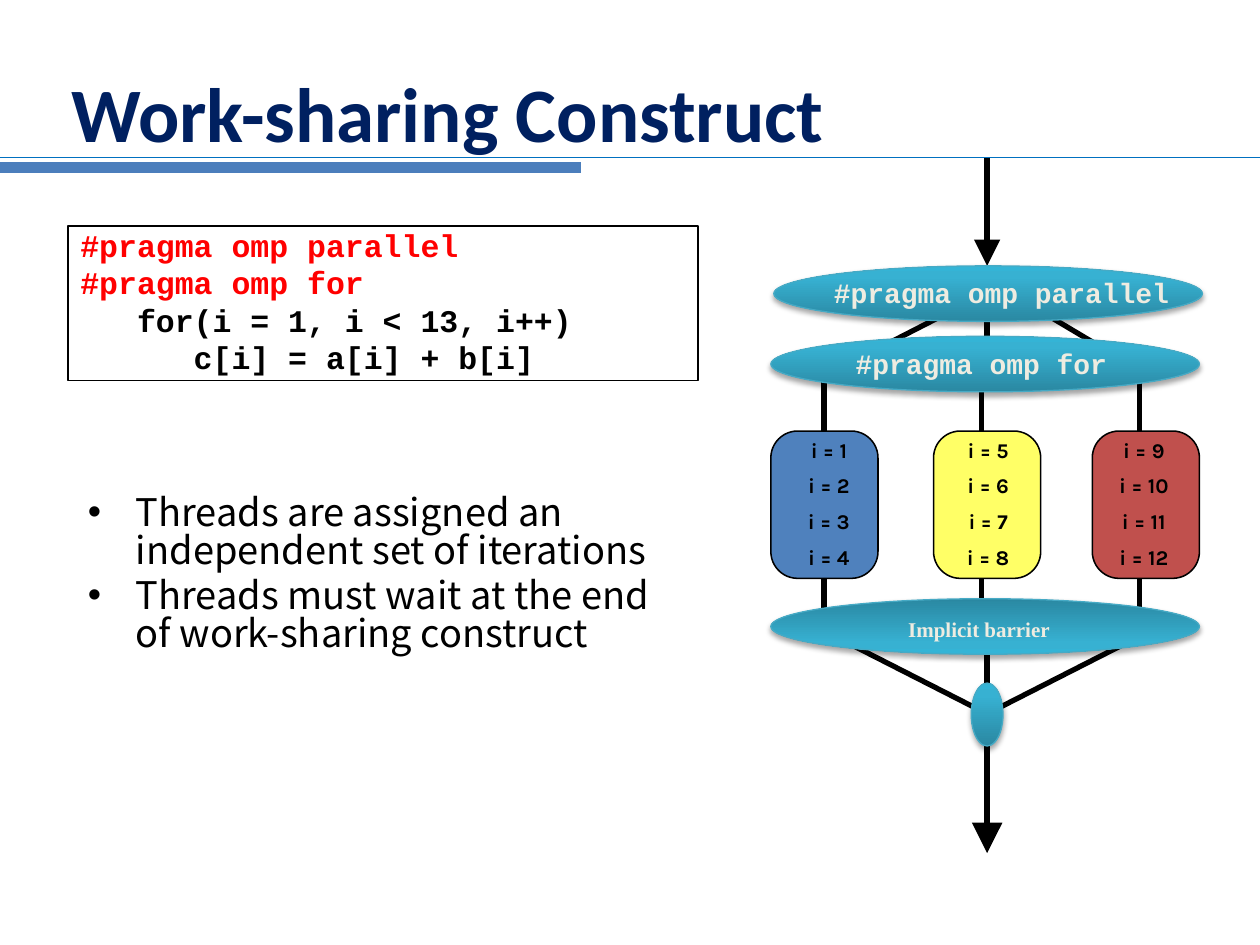
from copy import deepcopy

from pptx import Presentation
from pptx.dml.color import RGBColor
from pptx.enum.shapes import MSO_CONNECTOR, MSO_SHAPE
from pptx.enum.text import MSO_ANCHOR, PP_ALIGN
from pptx.oxml import parse_xml
from pptx.oxml.ns import nsdecls, qn
from pptx.util import Cm, Pt

BLACK, WHITE, RED, CREAM = "000000", "FFFFFF", "FF0000", "EEECE1"
CODE_FONT = "Courier New"
DIRECTIVE = dict(font=CODE_FONT, size=16, color=CREAM, bold=True)
CONSTRUCT_STOPS = [(0, "2A88A2"), (0.8, "37B1D2"), (1, "34B4D6")]


def rgb(value):
    return RGBColor.from_string(value)


def write(frame, lines, font="Calibri", size=12, color=BLACK, bold=False,
          align=PP_ALIGN.LEFT, before=0, spacing=None, bullet_indent=None):
    """Fill a text frame; a line is a string or a (string, colour) pair."""
    for index, line in enumerate(lines):
        words, shade = line if isinstance(line, tuple) else (line, color)
        paragraph = frame.paragraphs[0] if index == 0 else frame.add_paragraph()
        paragraph.alignment = align
        if index and before:
            paragraph.space_before = Pt(before)
        if spacing:
            paragraph.line_spacing = spacing
        if bullet_indent:
            properties = paragraph._p.get_or_add_pPr()
            properties.set("marL", str(Cm(bullet_indent)))
            properties.set("indent", str(-Cm(bullet_indent)))
            properties.append(parse_xml(f'<a:buFont {nsdecls("a")} typeface="Arial"/>'))
            properties.append(parse_xml(f'<a:buChar {nsdecls("a")} char="•"/>'))
        run = paragraph.add_run()
        run.text = words
        run.font.name = font
        run.font.size = Pt(size)
        run.font.bold = bold
        run.font.color.rgb = rgb(shade)


class Diagram:
    """Holds the current slide and draws on it, with lengths in centimetres."""

    line_width = 3
    outline_width = 0.88

    def __init__(self, slide):
        self.slide = slide

    def line(self, start, end, color=BLACK, width=None, arrow=False):
        connector = self.slide.shapes.add_connector(
            MSO_CONNECTOR.STRAIGHT, *map(Cm, start + end))
        connector.line.color.rgb = rgb(color)
        connector.line.width = Pt(width or self.line_width)
        if arrow:
            connector.line._get_or_add_ln().append(parse_xml(
                f'<a:tailEnd {nsdecls("a")} type="triangle" w="lg" len="lg"/>'))
        connector._element.spPr.append(parse_xml(f'<a:effectLst {nsdecls("a")}/>'))

    def box(self, kind, place, fill, width=None):
        shape = self.slide.shapes.add_shape(kind, *map(Cm, place))
        shape.shadow.inherit = False
        shape.fill.solid()
        shape.fill.fore_color.rgb = rgb(fill)
        shape.line.color.rgb = rgb(BLACK)
        shape.line.width = Pt(width or self.outline_width)
        return shape

    def construct(self, place, angle=90):
        """Draw a shaded ellipse with a soft shadow below it."""
        ellipse = self.box(MSO_SHAPE.OVAL, place, WHITE, 0.75)
        ellipse.line.color.rgb = rgb("46AAC5")
        ellipse.fill.gradient()
        stop_list = ellipse._element.spPr.find(qn("a:gradFill")).find(qn("a:gsLst"))
        stop_list.append(deepcopy(stop_list[-1]))
        for stop, (position, color) in zip(ellipse.fill.gradient_stops, CONSTRUCT_STOPS):
            stop.position = position
            stop.color.rgb = rgb(color)
        ellipse.fill.gradient_angle = angle
        ellipse._element.spPr.find(qn("a:effectLst")).append(parse_xml(
            f'<a:outerShdw {nsdecls("a")} blurRad="{Pt(3.1)}" dist="{Pt(1.8)}" '
            'dir="5400000" rotWithShape="0"><a:srgbClr val="000000">'
            '<a:alpha val="35000"/></a:srgbClr></a:outerShdw>'))

    def text(self, place, lines, wrap=True, inset=True,
             anchor=MSO_ANCHOR.TOP, **style):
        frame = self.slide.shapes.add_textbox(*map(Cm, place)).text_frame
        frame.word_wrap = wrap
        frame.vertical_anchor = anchor
        if not inset:
            frame.margin_left = frame.margin_right = 0
            frame.margin_top = frame.margin_bottom = 0
        write(frame, lines, **style)

    def code(self, place, lines, **style):
        frame = self.box(MSO_SHAPE.RECTANGLE, place, WHITE, 1).text_frame
        frame.word_wrap = True
        frame.vertical_anchor = MSO_ANCHOR.TOP
        write(frame, lines, font=CODE_FONT, bold=True, **style)


def draw_heading(diagram):
    diagram.line((0, 3.18), (25.4, 3.18), "0070C0", 0.75)
    diagram.line((0, 3.38), (11.71, 3.38), "4B7EBC", 6)
    diagram.text((1.19, 1.57, 24.08, 1.35), ["Work-sharing Construct"],
                 anchor=MSO_ANCHOR.MIDDLE, size=44, color="002060", bold=True)


def draw_explanation(diagram):
    diagram.code((1.37, 4.55, 12.7, 3.12), [
        ("#pragma omp parallel", RED),
        ("#pragma omp for", RED),
        "   for(i = 1, i < 13, i++)",
        "      c[i] = a[i] + b[i]",
    ], size=18, spacing=0.85, before=3)
    diagram.text((1.52, 9.88, 12.67, 4.42), [
        "Threads are assigned an independent set of iterations",
        "Threads must wait at the end of work-sharing construct",
    ], font="Noto Sans CJK JP", size=21.7, before=4.3, spacing=0.83,
        bullet_indent=0.97)


def draw_flow(diagram):
    axis, spread = 19.9, 3.24
    for column in range(3):
        thread_x = 16.61 + column * 3.18
        diagram.line((thread_x, 7.62), (thread_x, 8.89))
        diagram.line((thread_x, 11.05), (thread_x, 12.32))
    for side, fork_y in ((-1, 5.9), (0, 5.9), (1, 5.63)):
        branch_x = axis + side * spread
        diagram.line((axis, fork_y), (branch_x, 7.56))
        diagram.line((branch_x, 12.74), (axis, 14.39))

    threads = [(15.54, 15.54, "4F81BD"), (18.82, 18.75, "FFFF66"),
               (22.02, 21.89, "C0504D")]
    for column, (left, label_left, color) in enumerate(threads):
        thread = diagram.box(MSO_SHAPE.ROUNDED_RECTANGLE, (left, 8.69, 2.16, 2.97), color)
        thread.adjustments[0] = 0.25
        first = 1 + 4 * column
        diagram.text((label_left, 8.69, 2.34, 3.05),
                     [f"i = {i}" for i in range(first, first + 4)],
                     font="Karla", bold=True, align=PP_ALIGN.CENTER, before=6)

    diagram.line((axis, 3.18), (axis, 5.36), arrow=True)
    diagram.line((axis, 14.94), (axis, 17.2), width=3.5, arrow=True)
    diagram.construct((15.6, 5.36, 8.64, 1.12))
    diagram.construct((15.54, 6.78, 8.64, 1.12))
    diagram.construct((15.54, 12.07, 8.64, 1.12), angle=270)
    diagram.construct((19.58, 13.77, 0.64, 1.27))

    diagram.text((16.81, 5.56, 6.78, 0.69), ["#pragma omp parallel"],
                 wrap=False, inset=False, **DIRECTIVE)
    diagram.text((17.25, 6.99, 5.11, 0.69), ["#pragma omp for"],
                 wrap=False, inset=False, **DIRECTIVE)
    diagram.text((18.31, 12.42, 2.95, 0.51), ["Implicit barrier"], wrap=False,
                 inset=False, font="Times New Roman", color=CREAM, bold=True)


def main():
    presentation = Presentation()
    presentation.slide_width, presentation.slide_height = Cm(25.4), Cm(19.05)
    diagram = Diagram(presentation.slides.add_slide(presentation.slide_layouts[6]))
    draw_heading(diagram)
    draw_explanation(diagram)
    draw_flow(diagram)
    presentation.save("out.pptx")


if __name__ == "__main__":
    main()
